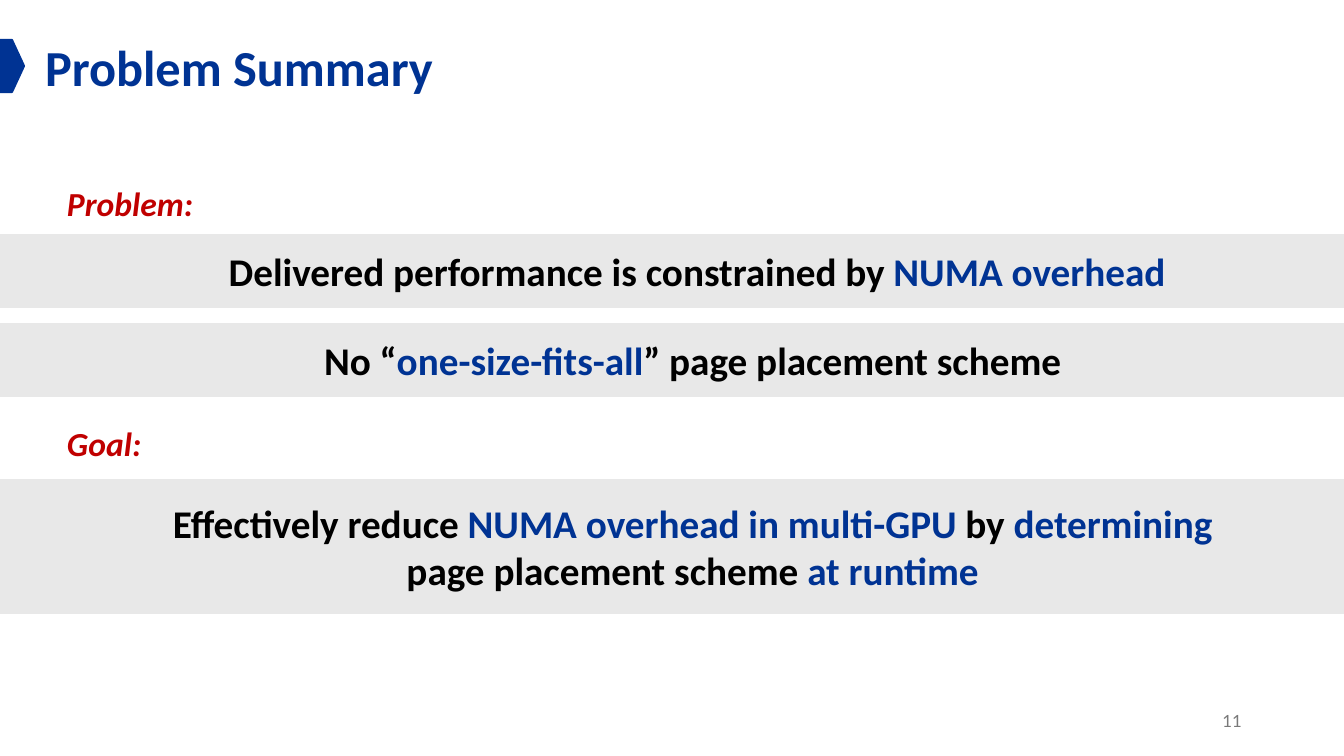
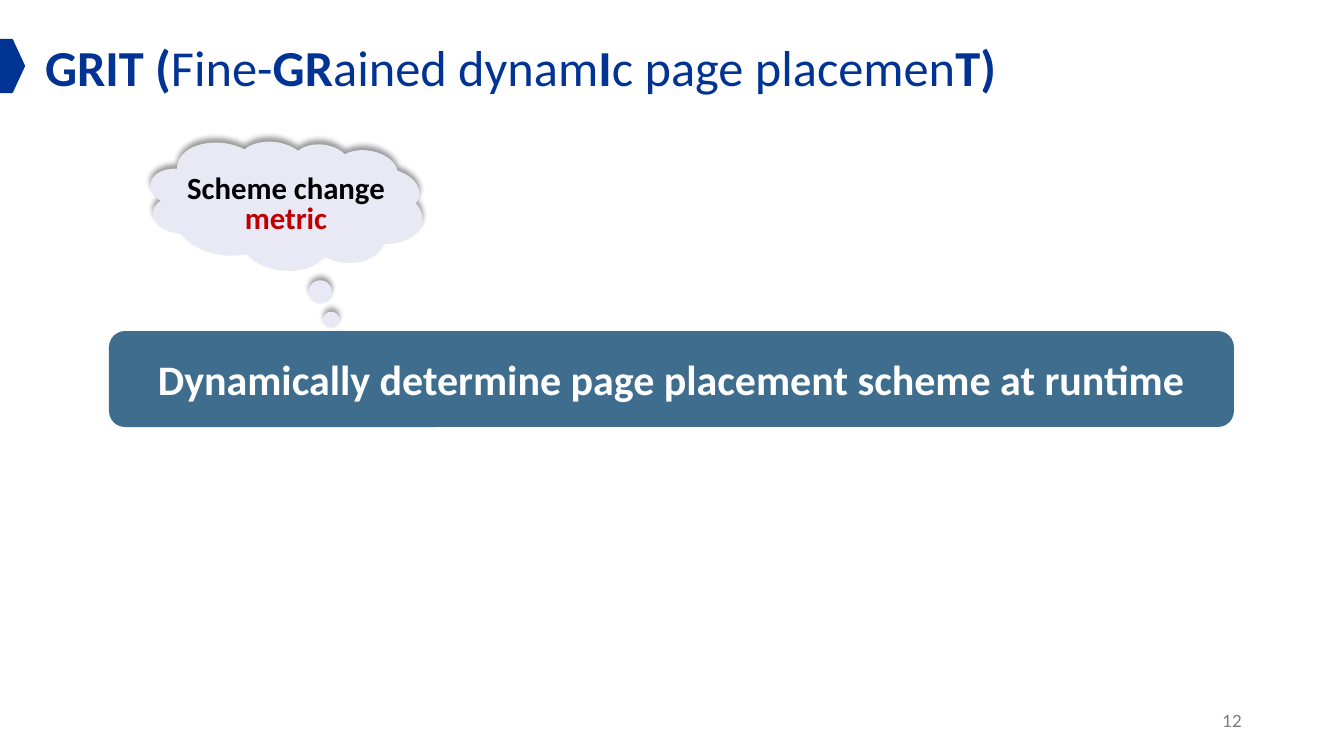
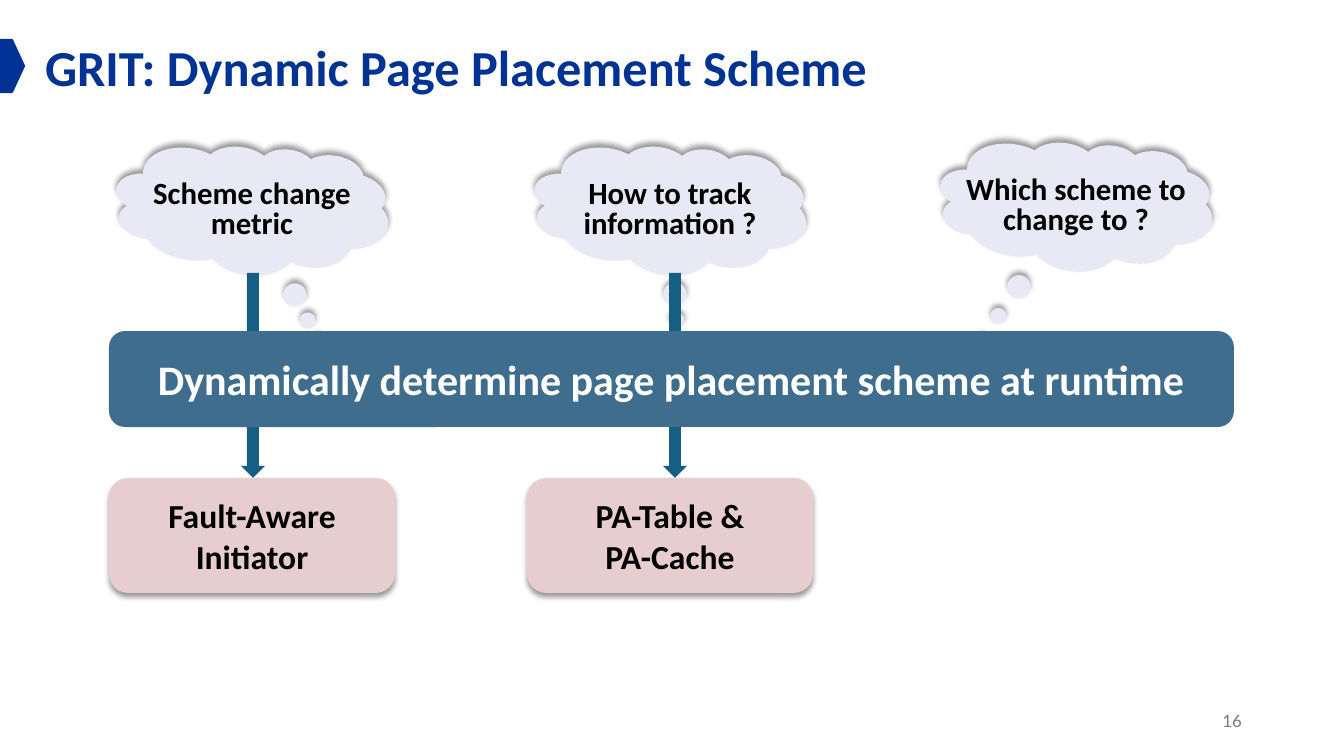
from pptx import Presentation
from pptx.dml.color import RGBColor
from pptx.enum.shapes import MSO_SHAPE as Shape
from pptx.enum.text import MSO_ANCHOR as Anchor, MSO_AUTO_SIZE as AutoSize, PP_ALIGN as Align
from pptx.oxml import parse_xml
from pptx.oxml.ns import nsdecls, qn
from pptx.util import Emu, Pt

# Shared style
BLUE, RED, BLACK, WHITE = "003393", "C00000", "000000", "FFFFFF"
GREY, BAND, CLOUD = "797979", "E8E8E8", "E8E9F5"
BANNER, ARROW, MODULE = "3F6D8E", "156082", "E7CDD0"
INSETS = (10, 5, 10, 5)
TITLE_BOX = (35, 31, 1266, 72)
TITLE_TAB = (0, 40, 24, 52)
PAGE_BOX = (950, 701, 302, 40)
BANNER_BOX = (109, 331, 1125, 96)
BANNER_TEXT = "Dynamically determine page placement scheme at runtime"
CLOUD_SIZE, CLOUD_TURN = (272, 128), 7.4
CLOUD_TEXT_OFFSET, CLOUD_TEXT_SIZE = (16, 30), (240, 71)
MODULE_TOP, MODULE_SIZE = 478, (286, 115)
ARROW_TOP, ARROW_WIDTH = 273, 24

# Content: a paragraph is a list of runs, a run is (text, colour, bold);
# None keeps the paragraph's own setting
def run(text, color=None, bold=None):
    return text, color, bold


SUMMARY_TITLE = [run("Problem Summary")]
SUMMARY_LABELS = [("Problem:", 171), ("Goal:", 411)]
SUMMARY_BANDS = [  # top, height, paragraphs
    (235, 72, [[run("Delivered performance is constrained by "),
                run("NUMA overhead", BLUE)]]),
    (324, 72, [[run("No “"), run("one-size-fits-all", BLUE),
                run("” page placement scheme ")]]),
    (480, 133, [[run("Effectively reduce "),
                 run("NUMA overhead in multi-GPU ", BLUE),
                 run("by "), run("determining ", BLUE)],
                [run("page placement scheme "), run("at runtime ", BLUE)]]),
]

GRIT_TITLE = [run("GRIT ("), run("Fine-", bold=False), run("GR"),
              run("ained dynam", bold=False), run("I"),
              run("c page placemen", bold=False), run("T)")]
# Clouds: left, top, tail, paragraphs
GRIT_CLOUDS = [
    (150, 141, (0.26, 1.0), [[run("Scheme change")], [run("metric", RED)]]),
]

SCHEME_TITLE = [run("GRIT: Dynamic Page Placement Scheme")]
SCHEME_CLOUDS = [
    (116, 146, (0.3, 0.94), [[run("Scheme change")], [run("metric")]]),
    (534, 146, (0.09, 1.0), [[run("How to track information ?")]]),
    (940, 142, (-0.28, 1.13), [[run("Which scheme to change to ?")]]),
]
SCHEME_MODULES = [  # left, arrow left, paragraphs
    (109, 241, [[run("Fault-Aware Initiator")]]),
    (527, 663, [[run("PA-Table &")], [run("PA-Cache")]]),
]


# Helpers
def px(value):
    return Emu(round(value * 914400 / 100.8))


def rgb(color):
    return RGBColor.from_string(color)


def write(shape, paragraphs, size, color, bold=True, italic=False, name="Calibri",
          align=Align.CENTER, anchor=Anchor.MIDDLE, insets=INSETS, indent=0, spacing=None):
    frame = shape.text_frame
    frame.word_wrap = True
    frame.auto_size = AutoSize.NONE
    frame.vertical_anchor = anchor
    (frame.margin_left, frame.margin_top,
     frame.margin_right, frame.margin_bottom) = map(px, insets)
    for index, runs in enumerate(paragraphs):
        paragraph = frame.add_paragraph() if index else frame.paragraphs[0]
        paragraph.alignment = align
        if indent:
            paragraph._p.get_or_add_pPr().set("marL", str(px(indent)))
        if spacing:
            paragraph.line_spacing = spacing
        font = paragraph.font
        font.name, font.size, font.bold, font.italic = name, Pt(size), bold, italic
        font.color.rgb = rgb(color)
        for text, run_color, run_bold in runs:
            part = paragraph.add_run()
            part.text = text
            if run_color:
                part.font.color.rgb = rgb(run_color)
            if run_bold is not None:
                part.font.bold = run_bold


def add_text(slide, box, paragraphs, size, color, **style):
    write(slide.shapes.add_textbox(*map(px, box)), paragraphs, size, color, **style)


def add_block(slide, kind, box, fill, outlined=False):
    shape = slide.shapes.add_shape(kind, *map(px, box))
    shape.shadow.inherit = False
    shape.fill.solid()
    shape.fill.fore_color.rgb = rgb(fill)
    if outlined:
        shape.line.color.rgb = rgb(fill)
        shape.line.width = Pt(1.5)
    else:
        shape.line.fill.background()
    return shape


def add_shadow(shape, degrees, align):
    shape.element.spPr.find(qn("a:effectLst")).append(parse_xml(
        f'<a:outerShdw {nsdecls("a")} blurRad="{Pt(4)}" dist="{Pt(3)}" '
        f'dir="{degrees * 60000}" algn="{align}" rotWithShape="0">'
        f'<a:srgbClr val="{BLACK}"><a:alpha val="40000"/></a:srgbClr></a:outerShdw>'))


def add_slide(presentation, title_runs, number):
    slide = presentation.slides.add_slide(presentation.slide_layouts[5])
    title = slide.shapes.title
    title.left, title.top, title.width, title.height = map(px, TITLE_BOX)
    write(title, [title_runs], 36, BLUE, align=Align.LEFT, anchor=Anchor.TOP)
    add_block(slide, Shape.PENTAGON, TITLE_TAB, BLUE, outlined=True)
    add_text(slide, PAGE_BOX, [[run(str(number))]], 12, GREY, bold=False,
             name="Lato", align=Align.RIGHT)
    return slide


def add_cloud(slide, left, top, tail):
    cloud = add_block(slide, Shape.CLOUD_CALLOUT, (left, top, *CLOUD_SIZE), CLOUD, outlined=True)
    cloud.rotation = CLOUD_TURN
    cloud.adjustments[0], cloud.adjustments[1] = tail
    add_shadow(cloud, 270, "b")


def add_cloud_text(slide, left, top, paragraphs):
    dx, dy = CLOUD_TEXT_OFFSET
    add_text(slide, (left + dx, top + dy, *CLOUD_TEXT_SIZE), paragraphs, 22, BLACK,
             anchor=Anchor.TOP, spacing=0.8)


def add_module(slide, left, arrow_left, paragraphs):
    arrow_box = (arrow_left, ARROW_TOP, ARROW_WIDTH, MODULE_TOP - ARROW_TOP)
    add_block(slide, Shape.DOWN_ARROW, arrow_box, ARROW)
    module = add_block(slide, Shape.ROUNDED_RECTANGLE, (left, MODULE_TOP, *MODULE_SIZE), MODULE)
    add_shadow(module, 90, "t")
    write(module, paragraphs, 24, BLACK)


def add_scheme(slide, clouds, modules=()):
    for left, top, tail, _ in clouds:
        add_cloud(slide, left, top, tail)
    for module in modules:
        add_module(slide, *module)
    banner = add_block(slide, Shape.ROUNDED_RECTANGLE, BANNER_BOX, BANNER)
    write(banner, [[run(BANNER_TEXT)]], 30, WHITE)
    for left, top, _, paragraphs in clouds:
        add_cloud_text(slide, left, top, paragraphs)


def main():
    presentation = Presentation()
    presentation.slide_width, presentation.slide_height = px(1344), px(756)

    # Problem and goal bands
    slide = add_slide(presentation, SUMMARY_TITLE, 11)
    for label, top in SUMMARY_LABELS:
        add_text(slide, (47, top, 1044, 64), [[run(label)]], 24, RED, italic=True,
                 align=Align.LEFT, insets=(20, 0, 0, 0))
    for top, height, paragraphs in SUMMARY_BANDS:
        band = add_block(slide, Shape.RECTANGLE, (0, top, 1344, height), BAND, outlined=True)
        write(band, paragraphs, 28, BLACK, indent=50)

    # Scheme with its first question
    add_scheme(add_slide(presentation, GRIT_TITLE, 12), GRIT_CLOUDS)

    # Scheme with all questions and two modules
    add_scheme(add_slide(presentation, SCHEME_TITLE, 16), SCHEME_CLOUDS, SCHEME_MODULES)

    presentation.save("out.pptx")


if __name__ == "__main__":
    main()
